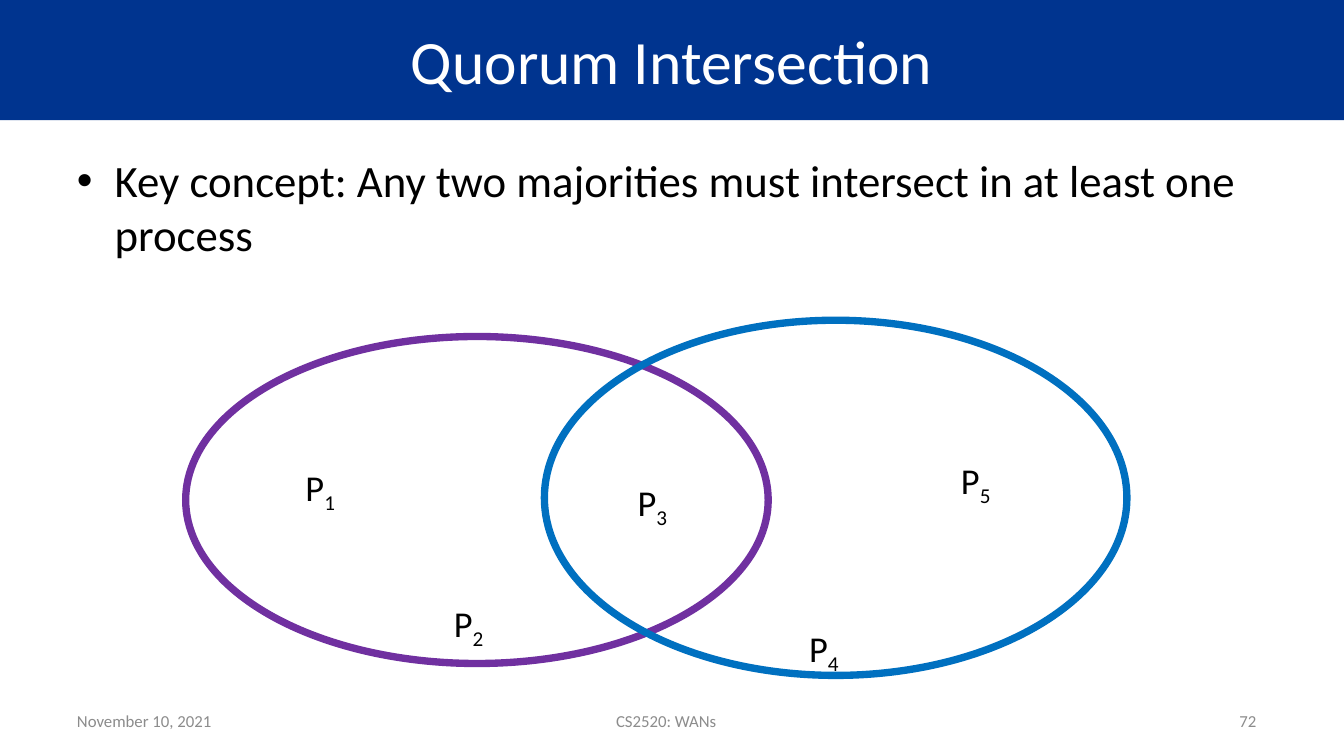
from dataclasses import dataclass
from pptx import Presentation
from pptx.dml.color import RGBColor
from pptx.enum.shapes import MSO_SHAPE as Kind
from pptx.enum.text import MSO_ANCHOR as Anchor, PP_ALIGN as Align
from pptx.oxml import parse_xml
from pptx.oxml.ns import nsdecls
from pptx.util import Cm, Pt


@dataclass
class Theme:
    face: str = "Calibri"
    band: str = "00348F"
    white: str = "FFFFFF"
    ink: str = "000000"
    grey: str = "8C8C8C"
    left: str = "7030A0"
    right: str = "0070C0"
    head: int = 44
    body: int = 32
    node: int = 26
    foot: int = 12
    ring: float = 5.25


theme = Theme()


def write(shape, text, size, color, align=Align.LEFT, anchor=Anchor.MIDDLE):
    frame = shape.text_frame
    looks = {"word_wrap": True, "vertical_anchor": anchor}
    for name, value in looks.items():
        setattr(frame, name, value)
    para = frame.paragraphs[0]
    para.alignment = align
    add_run(para, text, size, color)
    return para


def add_run(para, text, size, color):
    run = para.add_run()
    run.text = text
    looks = {"name": theme.face, "size": Pt(size)}
    for name, value in looks.items():
        setattr(run.font, name, value)
    run.font.color.rgb = RGBColor.from_string(color)
    return run


deck = Presentation()
deck.slide_width, deck.slide_height = Cm(33.87), Cm(19.05)
slide = deck.slides.add_slide(deck.slide_layouts[6])
shapes = slide.shapes

# Title band
band = shapes.add_shape(Kind.RECTANGLE, 0, 0, deck.slide_width, Cm(3.03))
band.shadow.inherit = False
band.fill.solid()
band.fill.fore_color.rgb = RGBColor.from_string(theme.band)
band.line.fill.background()
write(band, "Quorum Intersection", theme.head, theme.white, Align.CENTER)

# Key concept
box = shapes.add_textbox(Cm(1.69), Cm(3.73), Cm(30.48), Cm(13.28))
para = write(box, "Key concept: Any two majorities must intersect in at least one process",
             theme.body, theme.ink, anchor=Anchor.TOP)
props = para._p.get_or_add_pPr()
props.set("marL", str(Cm(0.95)))
props.set("indent", str(Cm(-0.95)))
for tag in ('buFont %s typeface="Arial"', 'buChar %s char="•"'):
    props.append(parse_xml(f"<a:{tag % nsdecls('a')}/>"))

# Footer
for text, x, width, align in (
    ("November 10, 2021", 1.69, 4.17, Align.LEFT),
    ("CS2520: WANs", 5.2, 23.18, Align.CENTER),
    ("72", 28.38, 3.53, Align.RIGHT),
):
    foot = shapes.add_textbox(Cm(x), Cm(17.66), Cm(width), Cm(1.01))
    write(foot, text, theme.foot, theme.grey, align)

# Processes
for num, x, y in ((1, 7.28, 11.6), (2, 11.02, 15.03), (3, 15.65, 11.97),
                  (5, 23.8, 11.42), (4, 19.97, 15.65)):
    node = shapes.add_textbox(Cm(x), Cm(y), Cm(1.58), Cm(1.38))
    para = write(node, "P", theme.node, theme.ink, Align.CENTER, Anchor.TOP)
    sub = add_run(para, str(num), theme.node, theme.ink)
    sub._r.get_or_add_rPr().set("baseline", "-25000")

# Majorities
for color, x, y, height in ((theme.left, 4.68, 8.48, 8.24),
                            (theme.right, 13.72, 8.07, 8.95)):
    ring = shapes.add_shape(Kind.OVAL, Cm(x), Cm(y), Cm(14.68), Cm(height))
    ring.shadow.inherit = False
    ring.fill.background()
    ring.line.color.rgb = RGBColor.from_string(color)
    ring.line.width = Pt(theme.ring)

deck.save("out.pptx")
